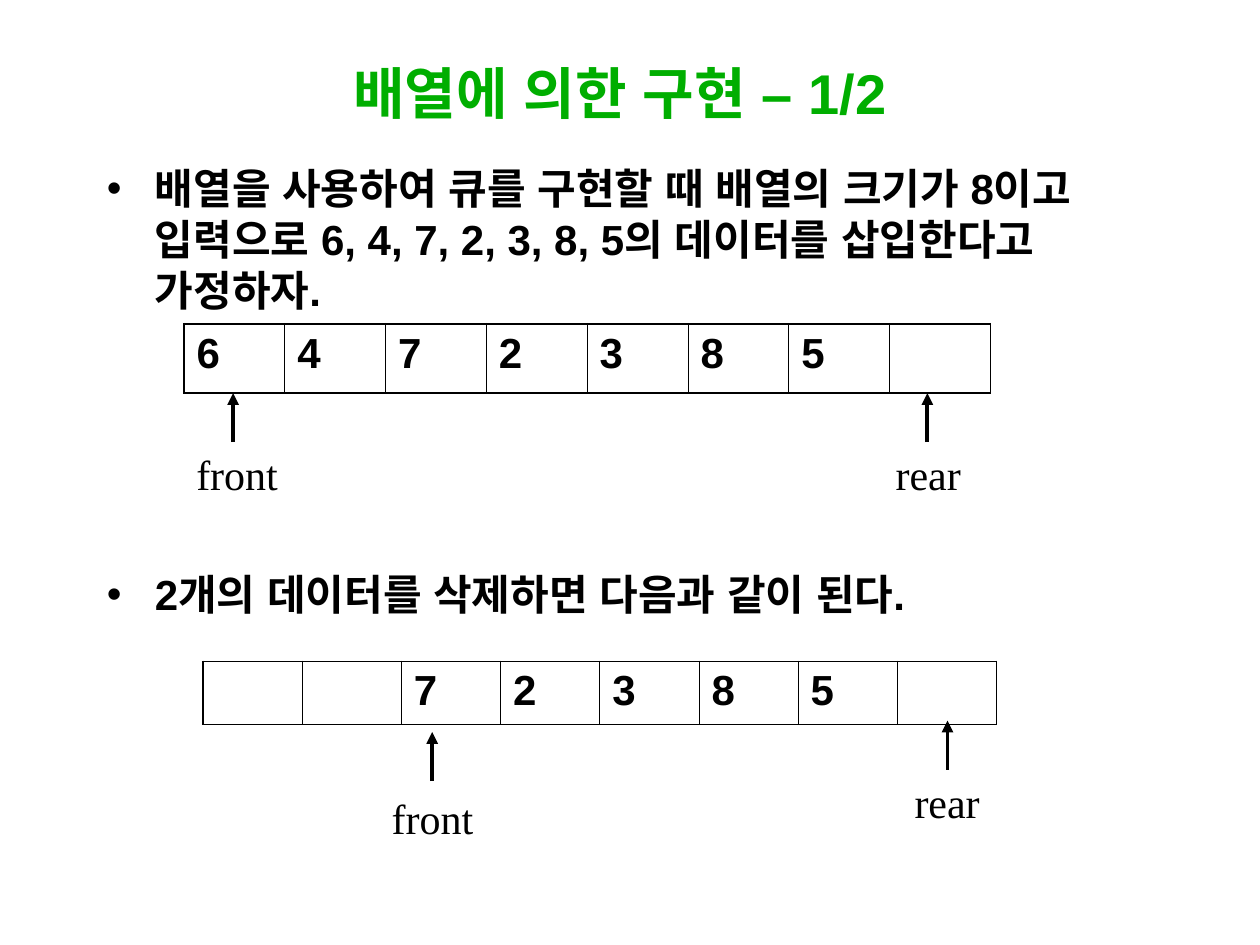
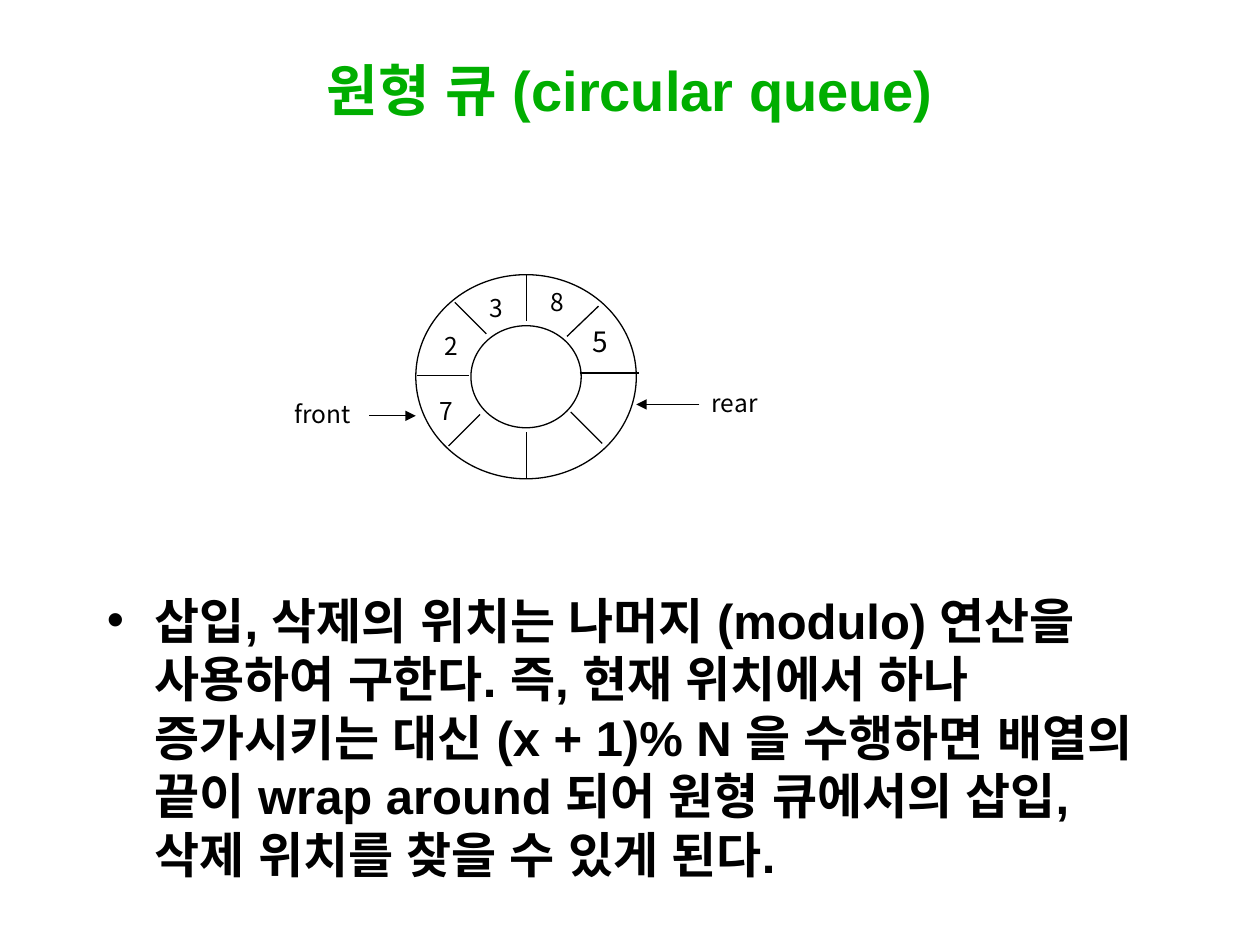
from dataclasses import dataclass

from lxml import etree
from pptx import Presentation
from pptx import util as u
from pptx.dml.color import RGBColor
from pptx.enum import shapes, text
from pptx.oxml import ns


@dataclass(frozen=True)
class Theme:
    ink: RGBColor = RGBColor(0, 0, 0)
    paper: RGBColor = RGBColor(255, 255, 255)
    heading: RGBColor = RGBColor(0, 0xAE, 0)
    sans: str = "Arial"
    serif: str = "Times New Roman"
    korean: str = "Noto Sans CJK KR"
    title_size: int = 32
    bullet_size: int = 28
    queue_size: int = 24
    ring_size: int = 14
    last_item_size: int = 16
    frame_line: float = 1.08
    cell_line: float = 0.45
    ring_line: float = 0.75
    arrow_line: float = 2.25


THEME = Theme()


def place(left, top, width, height):
    return [u.Inches(value) for value in (left, top, width, height)]


def add_xml(parent, tag, **attributes):
    return etree.SubElement(parent, ns.qn(tag), attributes)


def style_text(para, size, name, color=THEME.ink, bold=False):
    font = para.font
    font.size, font.name, font.bold = u.Pt(size), name, bold
    font.color.rgb = color
    add_xml(font._rPr, "a:ea", typeface=name)


def add_title(slide, words, left, top):
    title = slide.shapes.title
    title.left, title.top, title.width, title.height = place(left, top, 8.5, 0.75)
    title.text_frame.text = words
    title.text_frame.vertical_anchor = text.MSO_ANCHOR.MIDDLE
    para = title.text_frame.paragraphs[0]
    para.alignment = text.PP_ALIGN.CENTER
    style_text(para, THEME.title_size, THEME.sans, THEME.heading, True)


def add_bullets(slide, box, items, size, pitch, gap=0):
    frame = slide.shapes.add_textbox(*place(*box)).text_frame
    frame.word_wrap = True
    for index, words in enumerate(items):
        para = frame.add_paragraph() if index else frame.paragraphs[0]
        para.text = words
        para.line_spacing = u.Pt(pitch)
        para.space_before = u.Pt(gap if index else 0)
        properties = para._p.get_or_add_pPr()
        properties.set("marL", str(u.Inches(0.38)))
        properties.set("indent", str(u.Inches(-0.38)))
        add_xml(properties, "a:buFont", typeface=THEME.sans)
        add_xml(properties, "a:buChar", char="•")
        style_text(para, size, THEME.sans, bold=True)


def add_label(slide, words, box, size, name, filled=False):
    label = slide.shapes.add_textbox(*place(*box))
    if filled:
        label.fill.solid()
        label.fill.fore_color.rgb = THEME.paper
    label.text_frame.word_wrap = False
    label.text_frame.text = words
    style_text(label.text_frame.paragraphs[0], size, name)


def add_line(slide, start, end, weight, arrow=False):
    points = [u.Inches(value) for value in (*start, *end)]
    line = slide.shapes.add_connector(shapes.MSO_CONNECTOR.STRAIGHT, *points)
    line.line.color.rgb = THEME.ink
    line.line.width = u.Pt(weight)
    if arrow:
        add_xml(line.line._get_or_add_ln(), "a:tailEnd", type="triangle")
    add_xml(line._element.spPr, "a:effectLst")


def set_borders(cell, first, last):
    edges = {"L": first, "R": last, "T": True, "B": True}
    properties = cell._tc.get_or_add_tcPr()
    for edge, outer in edges.items():
        weight = THEME.frame_line if outer else THEME.cell_line
        border = add_xml(properties, f"a:ln{edge}", w=str(u.Pt(weight)))
        add_xml(add_xml(border, "a:solidFill"), "a:srgbClr", val=str(THEME.ink))
    cell.fill.background()


def add_queue(slide, box, values):
    table = slide.shapes.add_table(1, len(values), *place(*box)).table
    table.first_row = table.horz_banding = False
    for index, value in enumerate(values):
        table.columns[index].width = u.Inches(box[2] / len(values))
        cell = table.cell(0, index)
        cell.text = value
        style_text(cell.text_frame.paragraphs[0], THEME.queue_size, THEME.sans, bold=True)
        set_borders(cell, index == 0, index == len(values) - 1)


def add_pointer(slide, words, tip, label_at, label_width):
    x, y = tip
    add_line(slide, (x, y + 0.39), tip, THEME.arrow_line, arrow=True)
    add_label(slide, words, (*label_at, label_width, 0.5), THEME.queue_size, THEME.serif)


def add_oval(slide, center, width, height):
    x, y = center
    oval = slide.shapes.add_shape(
        shapes.MSO_SHAPE.OVAL, *place(x - width / 2, y - height / 2, width, height)
    )
    oval.shadow.inherit = False
    oval.fill.background()
    oval.line.color.rgb = THEME.ink
    oval.line.width = u.Pt(THEME.ring_line)


def add_ring(slide, box):
    left, top, width, height = box
    center = left + width / 2, top + height / 2
    labels = {
        "8": (0.97, 0.05, 0.37, 0.37),
        "3": (0.49, 0.1, 0.37, 0.38),
        "2": (0.13, 0.4, 0.37, 0.37),
        "7": (0.09, 0.91, 0.37, 0.38),
        "rear": (2.25, 0.85, 0.62, 0.5),
        "front": (-1.06, 0.94, 0.68, 0.31),
    }
    for words, (dx, dy, *size) in labels.items():
        add_label(slide, words, (left + dx, top + dy, *size),
                  THEME.ring_size, THEME.korean, filled=True)
    add_oval(slide, center, width, height)
    add_oval(slide, center, width / 2, height / 2)
    spokes = [
        (0.88, 0, 0.88, 0.37), (0.88, 1.25, 0.88, height),
        (1.3, 0.78, 1.77, 0.78), (0.01, 0.8, 0.42, 0.8),
        (1.2, 0.49, 1.45, 0.25), (1.23, 1.09, 1.48, 1.34),
        (0.51, 1.11, 0.26, 1.36), (0.31, 0.22, 0.56, 0.47),
    ]
    arrows = [(-0.37, 1.12, 0, 1.12), (width + 0.5, 1.03, width, 1.03)]
    for x1, y1, x2, y2 in spokes + arrows:
        add_line(slide, (left + x1, top + y1), (left + x2, top + y2),
                 THEME.ring_line, arrow=(x1, y1, x2, y2) in arrows)
    add_label(slide, "5", (left + 1.3, top + 0.35, 0.32, 0.37),
              THEME.last_item_size, THEME.korean)


def build_array_slide(slide):
    add_title(slide, "배열에 의한 구현 – 1/2", 0.67, 0.36)
    add_bullets(slide, (0.75, 1.24, 8.82, 6.04), [
        "배열을 사용하여 큐를 구현할 때 배열의 크기가 8이고 입력으로 "
        "6, 4, 7, 2, 3, 8, 5의 데이터를 삽입한다고 가정하자.",
        "2개의 데이터를 삭제하면 다음과 같이 된다.",
    ], THEME.queue_size, 29, gap=145)
    add_queue(slide, (1.46, 2.57, 6.4, 0.55), ["6", "4", "7", "2", "3", "8", "5", ""])
    add_queue(slide, (1.61, 5.25, 6.3, 0.5), ["", "", "7", "2", "3", "8", "5", ""])
    add_pointer(slide, "front", (1.85, 3.12), (1.46, 3.51), 0.93)
    add_pointer(slide, "rear", (7.36, 3.12), (7.01, 3.51), 0.72)
    add_pointer(slide, "front", (3.43, 5.81), (3.01, 6.24), 0.93)
    add_pointer(slide, "rear", (7.52, 5.72), (7.16, 6.11), 0.72)


def build_ring_slide(slide):
    add_title(slide, "원형 큐 (circular queue)", 0.75, 0.33)
    add_bullets(slide, (0.75, 4.64, 8.4, 2.61), [
        "삽입, 삭제의 위치는 나머지 (modulo) 연산을 사용하여 구한다. 즉, 현재 위치에서 "
        "하나 증가시키는 대신 (x + 1)% N 을 수행하면 배열의 끝이 wrap around 되어 "
        "원형 큐에서의 삽입, 삭제 위치를 찾을 수 있게 된다.",
    ], THEME.bullet_size, 33.4)
    add_ring(slide, (3.3, 2.18, 1.75, 1.62))


def main():
    deck = Presentation()
    deck.slide_width, deck.slide_height = u.Inches(10), u.Inches(7.5)
    for build in (build_array_slide, build_ring_slide):
        build(deck.slides.add_slide(deck.slide_layouts[5]))
    deck.save("out.pptx")


if __name__ == "__main__":
    main()
